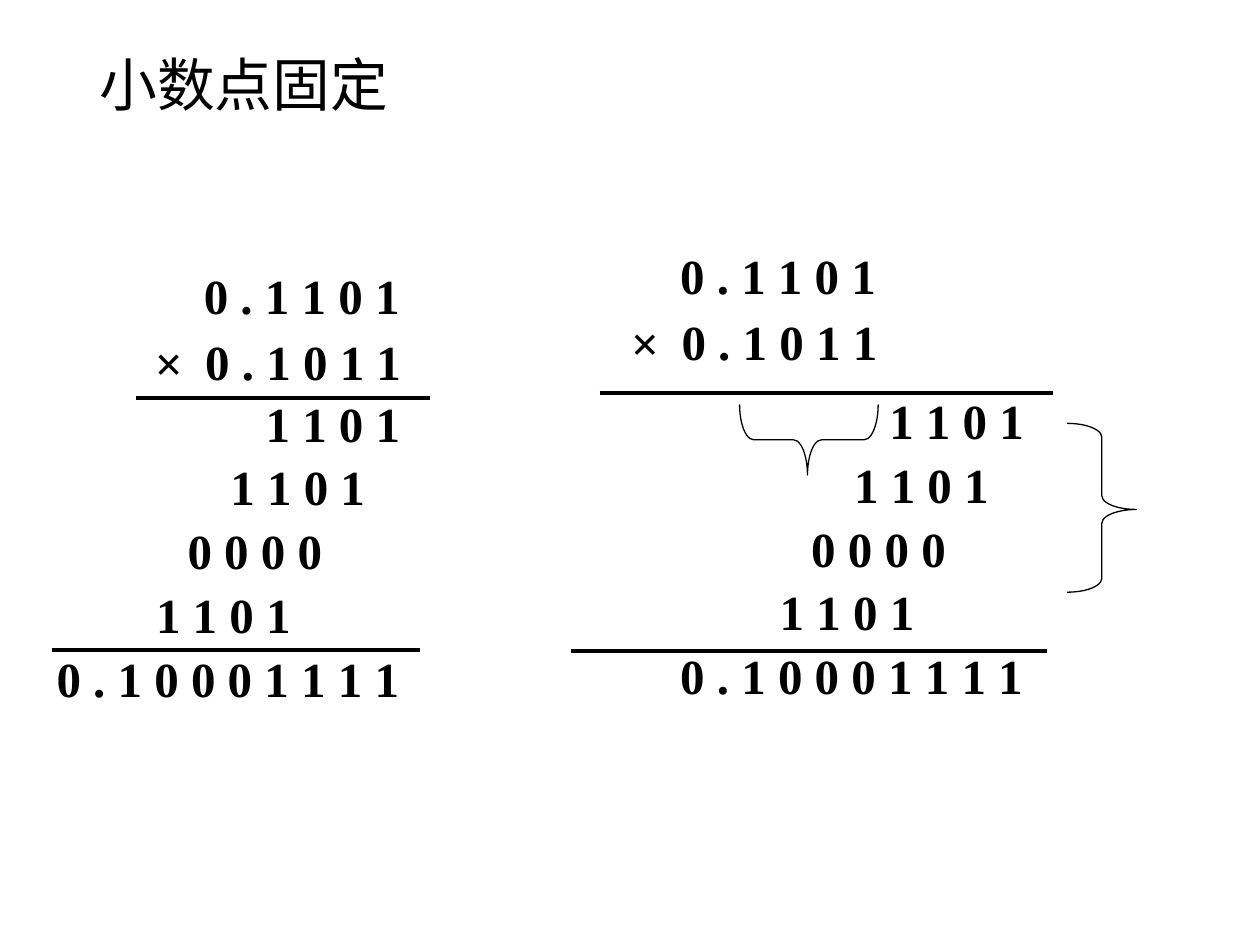
import pptx
import pptx.dml.color
import pptx.enum.shapes
import pptx.enum.text
import pptx.oxml.ns
import pptx.util
from lxml import etree

Pt = pptx.util.Pt
BLACK = pptx.dml.color.RGBColor(0x00, 0x00, 0x00)
TITLE_FONT = "Noto Sans CJK SC"
DIGIT_FONT = "Times New Roman"

deck = pptx.Presentation()
deck.slide_width, deck.slide_height = Pt(720), Pt(540)
page = deck.slides.add_slide(deck.slide_layouts[6])


def add_text(text, left, top, width, height, size, font_name, bold=False, wrap=False):
    box = page.shapes.add_textbox(Pt(left), Pt(top), Pt(width), Pt(height))
    box.text_frame.word_wrap = wrap
    para = box.text_frame.paragraphs[0]
    span = para.add_run()
    span.text = text
    span.font.size = Pt(size)
    span.font.name = font_name
    span.font.bold = bold
    span.font.color.rgb = BLACK
    east_asian = etree.SubElement(span.font._element, pptx.oxml.ns.qn("a:ea"))
    east_asian.set("typeface", font_name)
    return para


title = add_text("小数点固定", 49.7, 28.8, 620.6, 104.4, 33, TITLE_FONT, wrap=True)
title.line_spacing = 0.9

# Each entry: text, left, top, width, for the calculation on the left.
operands = [
    ("0 . 1 1 0 1", 109.4, 148.3, 126.7),
    ("0 . 1 0 1 1", 110.2, 185.8, 126.7),
    ("×", 81.4, 186.5, 42.5),
]
product_top, row_step = 221.2, 36.4
product_rows = [
    ("1 1 0 1", 144.7, 91.4),
    ("1 1 0 1", 124.6, 91.4),
    ("0 0 0 0", 100.1, 91.4),
    ("1 1 0 1", 82.1, 91.4),
    ("0 . 1 0 0 0 1 1 1 1", 25.2, 210.2),
]
products = [
    (text, left, product_top + row * row_step, width)
    for row, (text, left, width) in enumerate(product_rows)
]

# The calculation on the right repeats the digits, moved by these distances.
for operand_shift, product_shift in [((0, 0), (0, 0)), ((272.2, -11.5), (356.4, -1.4))]:
    for entries, (across, down) in [(operands, operand_shift), (products, product_shift)]:
        for text, left, top, width in entries:
            add_text(text, left + across, top + down, width, 41, 28, DIGIT_FONT, bold=True)

for start, end, height in [
    (77.8, 245.5, 227.3),
    (29.5, 239.8, 371.2),
    (342.7, 601.9, 224.6),
    (326.2, 598.3, 372.2),
]:
    rule = page.shapes.add_connector(
        pptx.enum.shapes.MSO_CONNECTOR.STRAIGHT, Pt(start), Pt(height), Pt(end), Pt(height)
    )
    rule.line.color.rgb = BLACK
    rule.line.width = Pt(2.25)
    etree.SubElement(rule._element.spPr, pptx.oxml.ns.qn("a:effectLst"))

for left, top, width, height, rotation in [
    (442.1, 211.7, 40.3, 79.2, 270),
    (609.8, 241.9, 39.6, 96.5, 180),
]:
    brace = page.shapes.add_shape(
        pptx.enum.shapes.MSO_SHAPE.LEFT_BRACE, Pt(left), Pt(top), Pt(width), Pt(height)
    )
    brace.rotation = rotation
    brace.adjustments[0] = 0.2
    brace.adjustments[1] = 0.49
    brace.shadow.inherit = False
    brace.fill.background()
    brace.line.color.rgb = BLACK
    brace.line.width = Pt(0.75)

deck.save("out.pptx")
